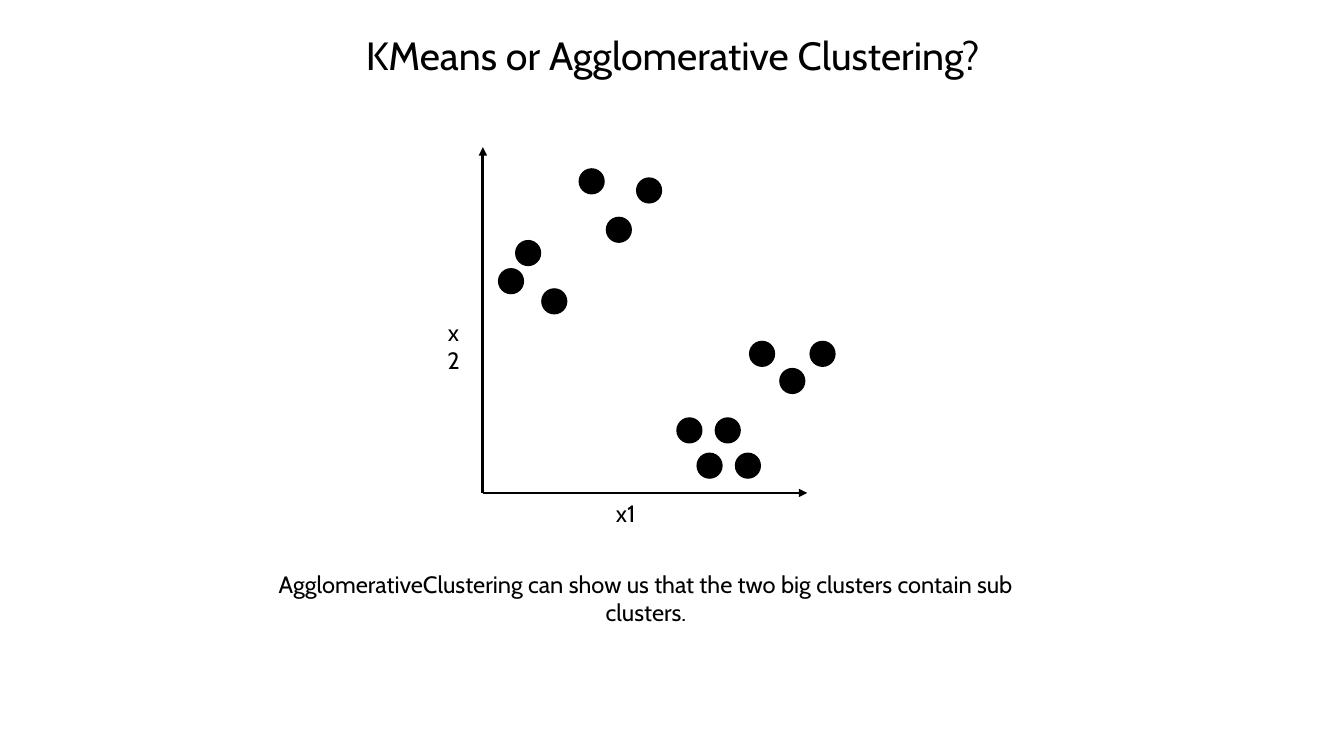
from dataclasses import dataclass

from lxml import etree
from pptx import Presentation
from pptx.dml.color import RGBColor
from pptx.enum.shapes import MSO_CONNECTOR, MSO_SHAPE
from pptx.enum.text import MSO_ANCHOR, PP_ALIGN
from pptx.oxml.ns import qn
from pptx.slide import Slide
from pptx.util import Pt

BLACK = RGBColor(0, 0, 0)
WHITE = RGBColor(255, 255, 255)
OVAL = MSO_SHAPE.OVAL
LINE = MSO_CONNECTOR.STRAIGHT
CENTER = PP_ALIGN.CENTER
MIDDLE = MSO_ANCHOR.MIDDLE
BOTTOM = MSO_ANCHOR.BOTTOM
FONT = "Cabin"
SIZE = 18.7


@dataclass
class Dot:
    x: float
    y: float


@dataclass
class Axis:
    x: float
    y: float


START = Axis(344.9, 352.1)
AXES = [Axis(344.9, 105.1), Axis(576.7, 352.1)]
DOTS = [
    Dot(413.3, 120.2), Dot(432.7, 154.8), Dot(454.3, 126.7),
    Dot(367.9, 171.4), Dot(386.6, 205.9), Dot(355.7, 191.5),
    Dot(535, 243.4), Dot(556.6, 262.8), Dot(578.2, 243.4),
    Dot(483.1, 298.1), Dot(497.5, 323.3), Dot(510.5, 298.1), Dot(524.9, 323.3),
]


def add_text(slide: Slide, text: str, *, x: float, y: float, w: float, h: float,
             size: float = 16.9, anchor: MSO_ANCHOR = MIDDLE, inset: float = 0,
             space: float = 1) -> None:
    box = slide.shapes.add_textbox(Pt(x), Pt(y), Pt(w), Pt(h))
    frame = box.text_frame
    frame.word_wrap = True
    frame.vertical_anchor = anchor
    frame.margin_left = frame.margin_right = Pt(inset)
    frame.margin_top = frame.margin_bottom = Pt(inset)
    para = frame.paragraphs[0]
    para.alignment = CENTER
    para.line_spacing = space
    run = para.add_run()
    run.text = text
    run.font.name = FONT
    run.font.size = Pt(size)
    run.font.color.rgb = BLACK


def add_dot(slide: Slide, dot: Dot) -> None:
    shape = slide.shapes.add_shape(OVAL, Pt(dot.x), Pt(dot.y), Pt(SIZE), Pt(SIZE))
    shape.shadow.inherit = False
    shape.fill.solid()
    shape.fill.fore_color.rgb = BLACK
    shape.line.fill.background()


def add_axis(slide: Slide, axis: Axis) -> None:
    line = slide.shapes.add_connector(
        LINE, Pt(START.x), Pt(START.y), Pt(axis.x), Pt(axis.y))
    line.line.color.rgb = BLACK
    line.line.width = Pt(2)
    props = line.element.spPr
    etree.SubElement(props.find(qn("a:ln")), qn("a:tailEnd"), type="triangle")
    etree.SubElement(props, qn("a:effectLst"))


def main() -> None:
    deck = Presentation()
    deck.slide_width, deck.slide_height = Pt(960), Pt(540)
    slide = deck.slides.add_slide(deck.slide_layouts[6])
    slide.background.fill.solid()
    slide.background.fill.fore_color.rgb = WHITE

    add_text(slide, "KMeans or Agglomerative Clustering?", x=150, y=0, w=661, h=60,
             size=28.1, anchor=BOTTOM, inset=3.6, space=0.9)
    for axis in AXES:
        add_axis(slide, axis)
    for dot in DOTS:
        add_dot(slide, dot)
    add_text(slide, "x1", x=436, y=353.5, w=22, h=26)
    add_text(slide, "x2", x=318, y=234, w=12, h=26)
    add_text(slide, "AgglomerativeClustering can show us that the two big clusters "
             "contain sub clusters.", x=183.5, y=414, w=556, h=26)
    deck.save("out.pptx")


if __name__ == "__main__":
    main()
